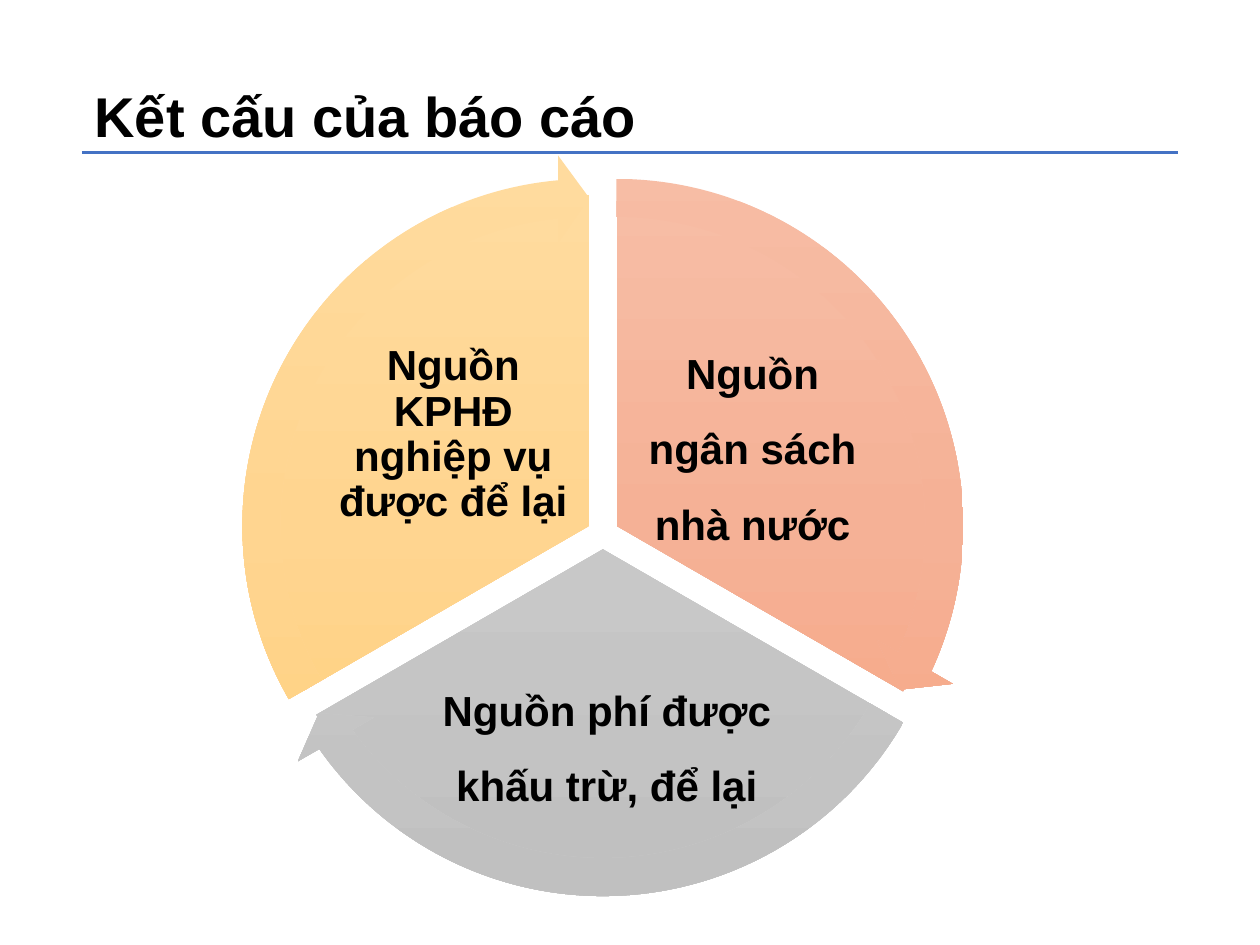
from copy import deepcopy
from math import cos, radians, sin

from pptx import Presentation
from pptx import util as u
from pptx.dml.color import RGBColor
from pptx.enum import shapes, text
from pptx.oxml import parse_xml
from pptx.oxml.ns import nsdecls

FONT = "Arial"
BLACK = RGBColor(0x00, 0x00, 0x00)
BLUE = RGBColor(0x44, 0x72, 0xC4)
ORANGE = [RGBColor(0xF7, 0xBD, 0xA5), RGBColor(0xF5, 0xB1, 0x96), RGBColor(0xF8, 0xA5, 0x82)]
GRAY = [RGBColor(0xD2, 0xD2, 0xD2), RGBColor(0xC8, 0xC8, 0xC8), RGBColor(0xC0, 0xC0, 0xC0)]
GOLD = [RGBColor(0xFF, 0xDB, 0x9E), RGBColor(0xFF, 0xD5, 0x90), RGBColor(0xFF, 0xD0, 0x7C)]

# The wheel is laid out on a square grid of 84 units across its diameter.
GRID = 84
SPREAD = 2
ARROW_SIZE = 94.4
TURN = 0.6  # adjustment value of one degree
HEAD = 3.275

# middle angle, colours, wording, line spacing, label box in units from the centre
SECTORS = [
    (-30, ORANGE, "Nguồn ngân sách nhà nước", 1.5, (4, -25, 30, 25)),
    (90, GRAY, "Nguồn phí được khấu trừ, để lại", 1.5, (-22, 14.5, 45, 22)),
    (210, GOLD, "Nguồn KPHĐ nghiệp vụ được để lại", 0.9, (-34, -25, 30, 25)),
]


def style_text(frame, wording, size, spacing):
    frame.word_wrap = True
    frame.text = wording
    para = frame.paragraphs[0]
    para.line_spacing = spacing
    for span in para.runs:
        span.font.name = FONT
        span.font.size = u.Pt(size)
        span.font.bold = True
        span.font.color.rgb = BLACK
    return para


def shade(shape, colours):
    """Fill with three even stops from top to bottom, with no line or shadow."""
    shape.shadow.inherit = False
    shape.line.fill.background()
    shape.fill.gradient()
    shape.fill.gradient_angle = 270
    stop_list = shape._element.spPr.xpath(".//a:gsLst")[0]
    stop_list.insert(1, deepcopy(stop_list[0]))
    for stop, position, colour in zip(shape.fill.gradient_stops, (0, 0.5, 1), colours):
        stop.position = position
        stop.color.rgb = colour


def add_heading(page, left, top, width, height):
    title = page.shapes.title
    title.left, title.top, title.width, title.height = left, top, width, height
    frame = title.text_frame
    para = style_text(frame, "Kết cấu của báo cáo", 32, 1.5)
    para.alignment = text.PP_ALIGN.LEFT
    frame.vertical_anchor = text.MSO_ANCHOR.TOP
    frame.auto_size = text.MSO_AUTO_SIZE.SHAPE_TO_FIT_TEXT


def add_rule(page, left, right, y):
    rule = page.shapes.add_connector(shapes.MSO_CONNECTOR.STRAIGHT, left, y, right, y)
    rule.line.color.rgb = BLUE
    rule.line.width = u.Pt(1.5)
    rule._element.spPr.append(parse_xml(f"<a:effectLst {nsdecls('a')}/>"))


def add_round(page, kind, centre, size, adjustments, colours):
    x, y = centre
    shape = page.shapes.add_shape(
        kind, int(x - size / 2), int(y - size / 2), int(size), int(size))
    for index, value in enumerate(adjustments):
        shape.adjustments[index] = value
    shade(shape, colours)


def add_label(page, wording, spacing, left, top, width, height):
    box = page.shapes.add_textbox(int(left), int(top), int(width), int(height))
    frame = box.text_frame
    frame.margin_left = frame.margin_right = u.Inches(0.03)
    frame.margin_top = frame.margin_bottom = u.Inches(0.03)
    frame.vertical_anchor = text.MSO_ANCHOR.MIDDLE
    style_text(frame, wording, 24, spacing).alignment = text.PP_ALIGN.CENTER


def add_wheel(page, left, top, diameter):
    """Place three pulled-apart sectors with labels, then an arrow along each rim."""
    unit = diameter / GRID
    x, y = left + diameter / 2, top + diameter / 2
    arrows = []
    for middle, colours, wording, spacing, (column, row, columns, rows) in SECTORS:
        angle = radians(middle)
        centre = (x + SPREAD * unit * cos(angle), y + SPREAD * unit * sin(angle))
        start, end = ((middle + side) % 360 * TURN for side in (-60, 60))
        add_round(page, shapes.MSO_SHAPE.PIE, centre, diameter, (start, end), colours)
        add_label(page, wording, spacing, x + column * unit, y + row * unit,
                  columns * unit, rows * unit)
        arrows.append((centre, (0.051, HEAD, end - HEAD, start, 0.059), colours))
    for centre, adjustments, colours in arrows:
        add_round(page, shapes.MSO_SHAPE.CIRCULAR_ARROW, centre, ARROW_SIZE * unit,
                  adjustments, colours)


def main():
    deck = Presentation()
    deck.slide_width, deck.slide_height = u.Inches(10), u.Inches(7.5)
    page = deck.slides.add_slide(deck.slide_layouts[5])
    add_rule(page, u.Inches(0.65), u.Inches(9.35), u.Inches(1.21))
    add_heading(page, u.Inches(0.65), u.Inches(0.33), u.Inches(8.48), u.Inches(0.81))
    add_wheel(page, u.Inches(2.16), u.Inches(1.61), u.Inches(5.25))
    deck.save("out.pptx")


if __name__ == "__main__":
    main()
